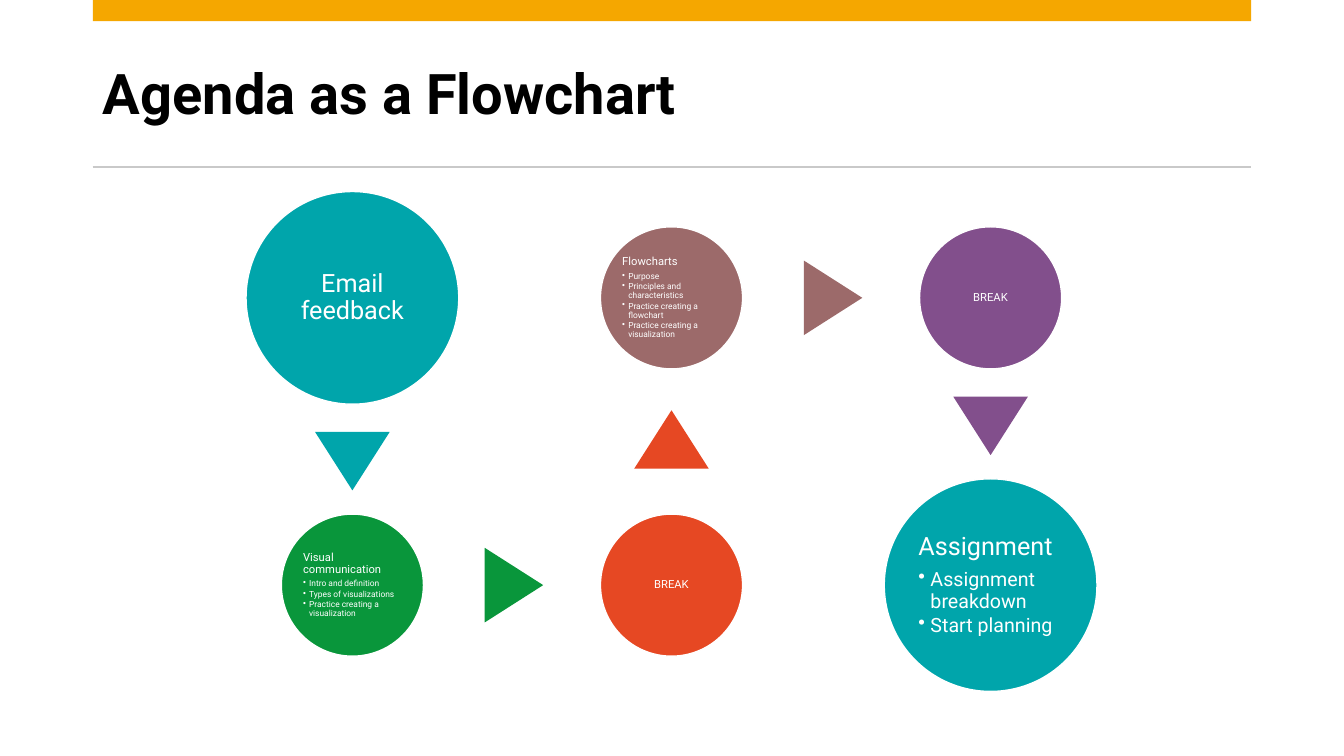
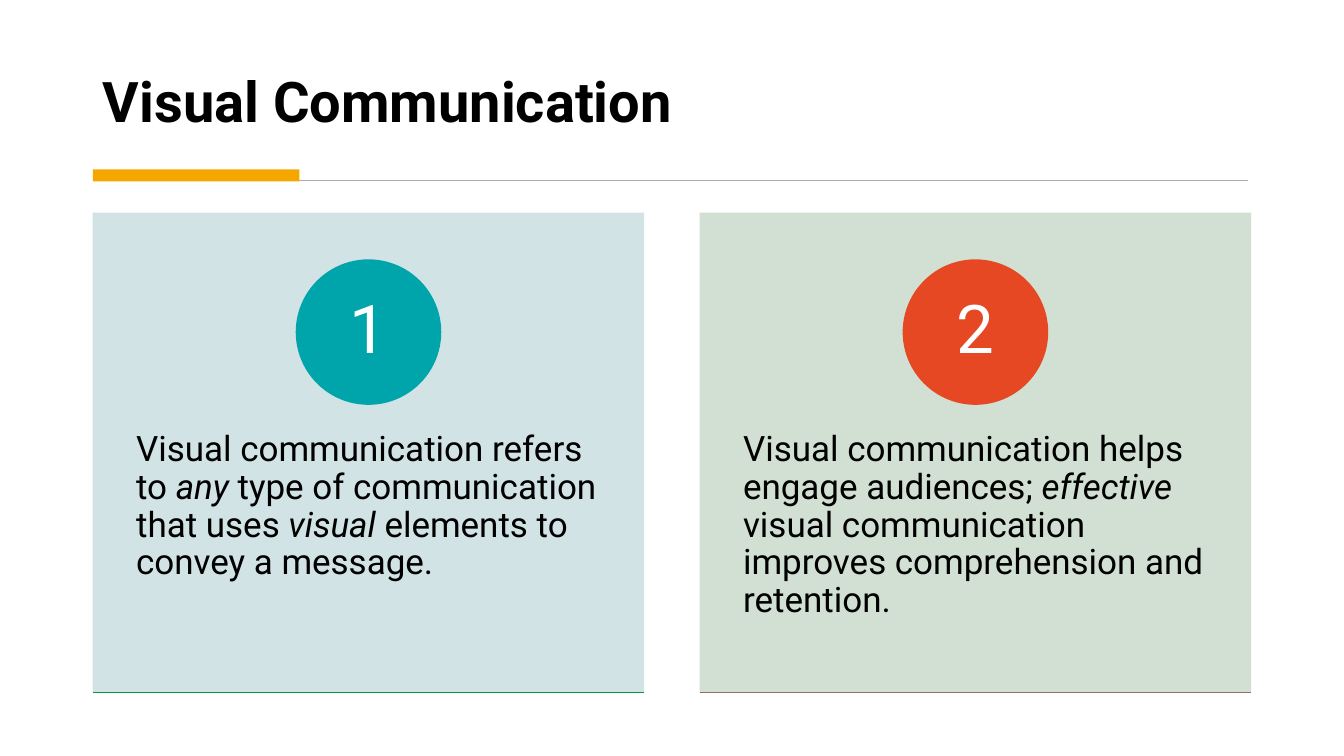
from collections import namedtuple
from lxml.etree import SubElement
from pptx import Presentation
from pptx.dml.color import RGBColor
from pptx.enum.shapes import MSO_CONNECTOR, MSO_SHAPE
from pptx.enum.text import MSO_ANCHOR, MSO_AUTO_SIZE, PP_ALIGN
from pptx.oxml.ns import qn
from pptx.util import Inches, Pt

FONT = "Roboto"
WHITE, BLACK, AMBER = "FFFFFF", "000000", "F5A700"
TEAL, GREEN, ORANGE, BROWN, PURPLE = "00A5AB", "09963B", "E64823", "9C6A6A", "824F8C"
LEFT, CONTENT_WIDTH = 0.92, 11.49
LINE_SPACING = 0.9

Box = namedtuple("Box", "left top width height")
Step = namedtuple("Step", "column row diameter color heading bullets")


def color_of(value):
    return RGBColor.from_string(value)


def inches(box):
    return [Inches(value) for value in box]


def add_filled(slide, kind, box, fill, line=None, alpha=None):
    shape = slide.shapes.add_shape(kind, *inches(box))
    shape.shadow.inherit = False
    shape.fill.solid()
    shape.fill.fore_color.rgb = color_of(fill)
    if line:
        shape.line.color.rgb = color_of(line)
        shape.line.width = Pt(1)
    else:
        shape.line.fill.background()
    if alpha:
        for color in shape.fill._xPr.iter(qn("a:srgbClr")):
            SubElement(color, qn("a:alpha"), val=str(alpha * 1000))
    return shape


def add_rule(slide, left, top, width, color, weight):
    rule = slide.shapes.add_connector(
        MSO_CONNECTOR.STRAIGHT, *inches((left, top, left + width, top)))
    rule.line.color.rgb = color_of(color)
    rule.line.width = Pt(weight)
    SubElement(rule._element.spPr, qn("a:effectLst"))


def set_frame(shape, anchor, horizontal, vertical):
    frame = shape.text_frame
    frame.word_wrap = True
    frame.auto_size = MSO_AUTO_SIZE.NONE
    frame.vertical_anchor = anchor
    frame.margin_left = frame.margin_right = Inches(horizontal)
    frame.margin_top = frame.margin_bottom = Inches(vertical)
    return frame


def format_paragraph(paragraph, size, color, align=PP_ALIGN.LEFT, gap=0.35, bold=False):
    paragraph.alignment = align
    paragraph.line_spacing = LINE_SPACING
    paragraph.space_after = Pt(round(size * gap, 1))
    for run in paragraph.runs:
        run.font.name = FONT
        run.font.size = Pt(size)
        run.font.bold = bold
        run.font.color.rgb = color_of(color)


def add_bullet(paragraph, indent):
    paragraph.level = 1
    properties = paragraph._p.get_or_add_pPr()
    properties.set("marL", str(Inches(indent)))
    properties.set("indent", str(Inches(-indent)))
    SubElement(properties, qn("a:buChar"), char="•")


def add_titled_slide(presentation, text, box, anchor):
    slide = presentation.slides.add_slide(presentation.slide_layouts[5])
    title = slide.shapes.title
    title.left, title.top, title.width, title.height = inches(box)
    frame = set_frame(title, anchor, 0.1, 0.05)
    frame.text = text
    format_paragraph(frame.paragraphs[0], 40, BLACK, gap=0, bold=True)
    return slide


def add_step(slide, step):
    radius = step.diameter / 2
    box = Box(step.column - radius, step.row - radius, step.diameter, step.diameter)
    circle = add_filled(slide, MSO_SHAPE.OVAL, box, step.color, WHITE)
    large = step.diameter > 2
    heading_size, bullet_size, indent = (18, 14, 0.12) if large else (8, 6, 0.06)
    margin = 0.03 if large else 0.01
    frame = set_frame(circle, MSO_ANCHOR.MIDDLE, margin, margin)
    frame.text = step.heading
    align = PP_ALIGN.LEFT if step.bullets else PP_ALIGN.CENTER
    format_paragraph(frame.paragraphs[0], heading_size, WHITE, align)
    for text in step.bullets:
        paragraph = frame.add_paragraph()
        paragraph.text = text
        format_paragraph(paragraph, bullet_size, WHITE, gap=0.15)
        add_bullet(paragraph, indent)


def add_arrow(slide, start, end):
    width, height, nudge = 0.74, 0.58, 0.02
    offset = (start.diameter - end.diameter) / 4
    across, down = end.column - start.column, end.row - start.row
    horizontal = abs(across) > abs(down)
    direction = 1 if (across if horizontal else down) > 0 else -1
    shift = direction * (offset + nudge)
    center_x = (start.column + end.column) / 2 + (shift if horizontal else 0)
    center_y = (start.row + end.row) / 2 + (0 if horizontal else shift)
    box = Box(center_x - width / 2, center_y - height / 2, width, height)
    arrow = add_filled(slide, MSO_SHAPE.ISOSCELES_TRIANGLE, box, start.color)
    arrow.rotation = 90 * direction % 360 if horizontal else 90 + 90 * direction


def add_flowchart(slide, box):
    large, small = 2.11, 1.41
    columns = [box.left + large / 2 + index * (box.width - large) / 2 for index in range(3)]
    upper, lower = box.top + large / 2, box.top + box.height - large / 2
    steps = [
        Step(columns[0], upper, large, TEAL, "Email feedback", []),
        Step(columns[0], lower, small, GREEN, "Visual communication",
             ["Intro and definition", "Types of visualizations",
              "Practice creating a visualization"]),
        Step(columns[1], lower, small, ORANGE, "BREAK", []),
        Step(columns[1], upper, small, BROWN, "Flowcharts",
             ["Purpose", "Principles and characteristics",
              "Practice creating a flowchart", "Practice creating a visualization"]),
        Step(columns[2], upper, small, PURPLE, "BREAK", []),
        Step(columns[2], lower, large, TEAL, "Assignment",
             ["Assignment breakdown", "Start planning"]),
    ]
    for step in steps:
        add_step(slide, step)
    for start, end in zip(steps, steps[1:]):
        add_arrow(slide, start, end)


def add_card(slide, box, number, tint, accent, base, pieces):
    add_filled(slide, MSO_SHAPE.RECTANGLE, box, tint, alpha=90)
    body = slide.shapes.add_textbox(
        *inches((box.left, box.top + 1.81, box.width, box.height * 0.6)))
    paragraph = set_frame(body, MSO_ANCHOR.TOP, 0.43, 0.36).paragraphs[0]
    for index, text in enumerate(pieces):
        run = paragraph.add_run()
        run.text = text
        run.font.italic = index % 2 == 1
    format_paragraph(paragraph, 25, BLACK)

    diameter = 1.43
    badge_box = Box(box.left + (box.width - diameter) / 2, box.top + 0.47, diameter, diameter)
    badge = add_filled(slide, MSO_SHAPE.OVAL, badge_box, accent, accent)
    frame = set_frame(badge, MSO_ANCHOR.MIDDLE, 0.11, 0.01)
    frame.text = number
    format_paragraph(frame.paragraphs[0], 48, WHITE, PP_ALIGN.CENTER)
    add_rule(slide, box.left, box.top + box.height, box.width, base, 1)


def build_agenda(presentation):
    slide = add_titled_slide(presentation, "Agenda as a Flowchart",
                             Box(LEFT, 0.37, CONTENT_WIDTH, 1.18), MSO_ANCHOR.MIDDLE)
    add_filled(slide, MSO_SHAPE.RECTANGLE, Box(LEFT, 0, CONTENT_WIDTH, 0.21), AMBER)
    add_rule(slide, LEFT, 1.66, CONTENT_WIDTH, "C9C9C9", 1.5)
    add_flowchart(slide, Box(2.44, 1.9, 8.44, 4.96))


def build_visual_communication(presentation):
    slide = add_titled_slide(presentation, "Visual Communication",
                             Box(LEFT, 0.28, CONTENT_WIDTH, 1.11), MSO_ANCHOR.BOTTOM)
    add_rule(slide, 0.95, 1.79, 11.43, "ADADAD", 1.25)
    add_filled(slide, MSO_SHAPE.RECTANGLE, Box(LEFT, 1.68, 2.05, 0.12), AMBER)
    cards = [
        ("1", "CCE1E2", TEAL, GREEN,
         ["Visual communication refers to ", "any ", "type of communication that uses ",
          "visual ", "elements to convey a message."]),
        ("2", "CCDDCE", ORANGE, BROWN,
         ["Visual communication helps engage audiences; ", "effective ",
          "visual communication improves comprehension and retention."]),
    ]
    width = 5.47
    for index, card in enumerate(cards):
        left = LEFT + index * (CONTENT_WIDTH - width)
        add_card(slide, Box(left, 2.11, width, 4.76), *card)


def main():
    presentation = Presentation()
    presentation.slide_width = Inches(13.33)
    presentation.slide_height = Inches(7.5)
    build_agenda(presentation)
    build_visual_communication(presentation)
    presentation.save("out.pptx")


if __name__ == "__main__":
    main()
